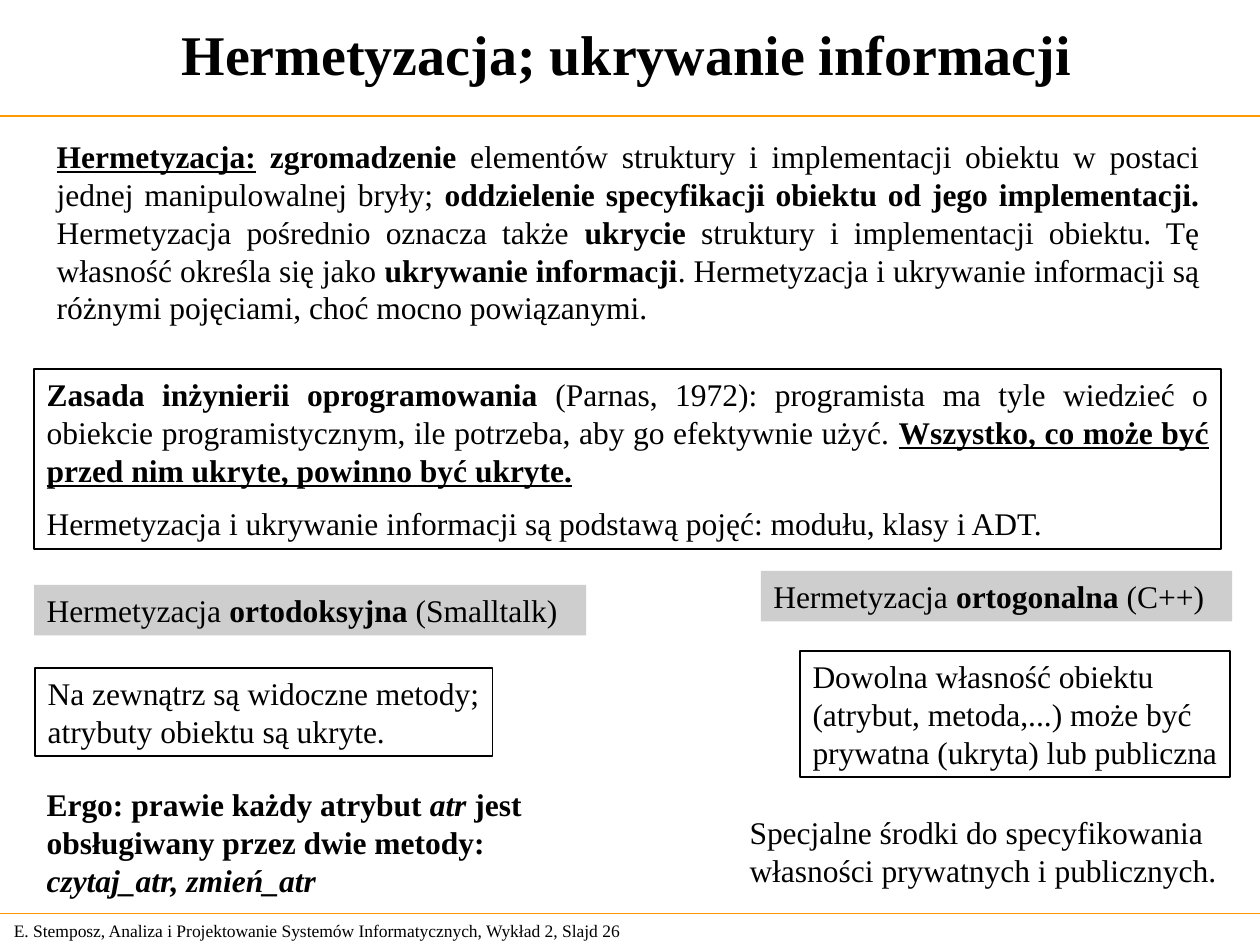
from dataclasses import dataclass

from lxml import etree
from pptx import Presentation
from pptx.dml.color import RGBColor
from pptx.enum.shapes import MSO_CONNECTOR, MSO_SHAPE
from pptx.enum.text import MSO_ANCHOR, MSO_AUTO_SIZE, PP_ALIGN
from pptx.oxml.ns import qn
from pptx.util import Cm, Pt

STRAIGHT = MSO_CONNECTOR.STRAIGHT
RECTANGLE = MSO_SHAPE.RECTANGLE
TOP, MIDDLE = MSO_ANCHOR.TOP, MSO_ANCHOR.MIDDLE
LEFT, CENTER, JUSTIFY = PP_ALIGN.LEFT, PP_ALIGN.CENTER, PP_ALIGN.JUSTIFY
FIXED_SIZE = MSO_AUTO_SIZE.NONE

FONT = "Times New Roman"
BLACK, WHITE, GREY, ORANGE = "000000", "FFFFFF", "CECECE", "FF9900"
SLIDE_WIDTH, SLIDE_HEIGHT = 25.4, 19.05


@dataclass
class Span:
    text: str
    style: str = ""  # any of b (bold), i (italic), u (underlined)


@dataclass
class Paragraph:
    spans: list[Span]
    align: PP_ALIGN = LEFT
    space_before: float = 0


@dataclass
class Block:
    """A text area: left, top, width and height in centimetres."""
    area: tuple[float, float, float, float]
    paragraphs: list[Paragraph]
    size: float = 18
    anchor: MSO_ANCHOR = TOP
    fill: str = ""
    border: str = ""
    wrap: bool = True


def color(value: str) -> RGBColor:
    return RGBColor.from_string(value)


def plain(*lines: str) -> list[Paragraph]:
    return [Paragraph([Span(line)]) for line in lines]


def write_text(shape, block: Block) -> None:
    frame = shape.text_frame
    frame.auto_size = FIXED_SIZE
    frame.word_wrap = block.wrap
    frame.vertical_anchor = block.anchor
    for index, content in enumerate(block.paragraphs):
        paragraph = frame.add_paragraph() if index else frame.paragraphs[0]
        paragraph.alignment = content.align
        paragraph.space_before = Pt(content.space_before)
        for span in content.spans:
            run = paragraph.add_run()
            run.text = span.text
            font = run.font
            font.name, font.size = FONT, Pt(block.size)
            font.color.rgb = color(BLACK)
            font.bold = "b" in span.style
            font.italic = "i" in span.style
            font.underline = "u" in span.style


def fill_placeholder(shape, block: Block) -> None:
    shape.left, shape.top, shape.width, shape.height = map(Cm, block.area)
    write_text(shape, block)


def draw_block(slide, block: Block) -> None:
    area = [Cm(length) for length in block.area]
    if block.fill or block.border:
        shape = slide.shapes.add_shape(RECTANGLE, *area)
        shape.shadow.inherit = False
    else:
        shape = slide.shapes.add_textbox(*area)
    if block.fill:
        shape.fill.solid()
        shape.fill.fore_color.rgb = color(block.fill)
    else:
        shape.fill.background()
    if block.border:
        shape.line.color.rgb = color(block.border)
        shape.line.width = Pt(1)
    else:
        shape.line.fill.background()
    write_text(shape, block)


def draw_rule(slide, top: float) -> None:
    rule = slide.shapes.add_connector(STRAIGHT, 0, Cm(top), Cm(SLIDE_WIDTH), Cm(top))
    rule.line.color.rgb = color(ORANGE)
    rule.line.width = Pt(0.75)
    etree.SubElement(rule._element.spPr, qn("a:effectLst"))


def remove_bullets(shape) -> None:
    for paragraph in shape.text_frame.paragraphs:
        properties = paragraph._p.get_or_add_pPr()
        properties.set("marL", "0")
        properties.set("indent", "0")
        etree.SubElement(properties, qn("a:buNone"))


def variant_label(area: tuple[float, float, float, float], kind: str, language: str) -> Block:
    spans = [Span("Hermetyzacja "), Span(kind, "b"), Span(f" ({language})")]
    return Block(area, [Paragraph(spans)], fill=GREY)


TITLE = Block(
    (0, 0, 25.27, 2.16),
    [Paragraph([Span("Hermetyzacja; ukrywanie informacji", "b")], CENTER)],
    size=32, anchor=MIDDLE)

DEFINITION = Block((0.89, 2.64, 23.55, 4.06), [Paragraph([
    Span("Hermetyzacja:", "bu"),
    Span(" "),
    Span("zgromadzenie", "b"),
    Span(" elementów struktury i implementacji obiektu w postaci jednej "
         "manipulowalnej bryły; "),
    Span("oddzielenie specyfikacji obiektu od jego implementacji.", "b"),
    Span(" Hermetyzacja pośrednio oznacza także "),
    Span("ukrycie", "b"),
    Span(" struktury i implementacji obiektu. Tę własność określa się jako "),
    Span("ukrywanie informacji", "b"),
    Span(". Hermetyzacja i ukrywanie informacji są różnymi pojęciami, "
         "choć mocno powiązanymi."),
], JUSTIFY)])

PRINCIPLE = Block((0.69, 7.44, 23.93, 3.63), [
    Paragraph([
        Span("Zasada inżynierii oprogramowania ", "b"),
        Span("(Parnas, 1972): programista ma tyle wiedzieć o obiekcie "
             "programistycznym, ile potrzeba, aby go efektywnie użyć. "),
        Span("Wszystko, co może być przed nim ukryte, powinno być ukryte.", "bu"),
    ], JUSTIFY),
    Paragraph([Span("Hermetyzacja i ukrywanie informacji są podstawą pojęć: "
                    "modułu, klasy i ADT.")], space_before=9),
], fill=WHITE, border=BLACK)

ORTHODOX = [
    variant_label((0.69, 11.79, 11.13, 1.02), "ortodoksyjna", "Smalltalk"),
    Block((0.71, 13.46, 9.22, 1.78),
          plain("Na zewnątrz są widoczne metody;", "atrybuty obiektu są ukryte."),
          border=BLACK, wrap=False),
    Block((0.69, 15.7, 10.44, 2.54), [Paragraph([
        Span("Ergo: prawie każdy atrybut ", "b"),
        Span("atr", "bi"),
        Span(" jest obsługiwany przez dwie metody: ", "b"),
        Span("czytaj_atr, zmień_atr", "bi"),
    ])]),
]

ORTHOGONAL = [
    variant_label((15.34, 11.51, 9.5, 1.02), "ortogonalna", "C++"),
    Block((16.13, 13.13, 8.66, 2.54),
          plain("Dowolna własność obiektu", "(atrybut, metoda,...) może być",
                "prywatna (ukryta) lub publiczna"),
          border=BLACK, wrap=False),
    Block((14.86, 16.26, 9.96, 1.78),
          plain("Specjalne środki do specyfikowania",
                "własności prywatnych i publicznych.")),
]

FOOTER = Block(
    (0.03, 18.42, 13.31, 0.69),
    plain("E. Stemposz, Analiza i Projektowanie Systemów Informatycznych, "
          "Wykład 2, Slajd 26"),
    size=10, anchor=MIDDLE)


def main() -> None:
    presentation = Presentation()
    presentation.slide_width = Cm(SLIDE_WIDTH)
    presentation.slide_height = Cm(SLIDE_HEIGHT)
    slide = presentation.slides.add_slide(presentation.slide_layouts[1])

    # Title and definition
    fill_placeholder(slide.shapes.title, TITLE)
    body = slide.placeholders[1]
    fill_placeholder(body, DEFINITION)
    remove_bullets(body)

    # Rules under the title and above the footer
    for top in (2.34, 18.42):
        draw_rule(slide, top)

    # Principle, the two variants and the footer
    for block in [PRINCIPLE, *ORTHODOX, *ORTHOGONAL, FOOTER]:
        draw_block(slide, block)

    presentation.save("out.pptx")


if __name__ == "__main__":
    main()
